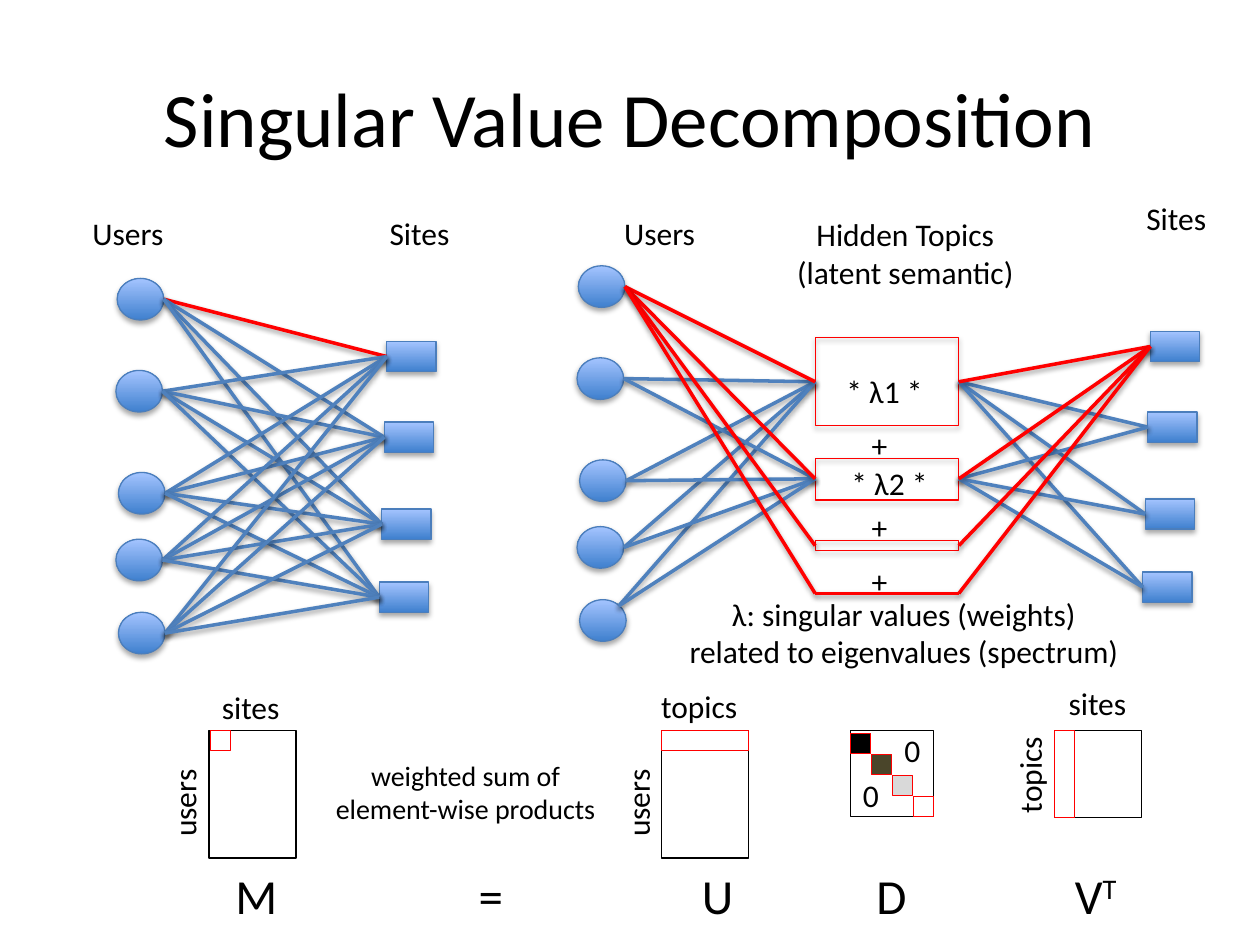
from itertools import product

from lxml.etree import SubElement
from pptx import Presentation
from pptx.dml.color import RGBColor
from pptx.enum.shapes import MSO_CONNECTOR as Connector, MSO_SHAPE as Preset
from pptx.enum.text import MSO_ANCHOR as Anchor, MSO_AUTO_SIZE as AutoSize, PP_ALIGN as Align
from pptx.oxml.ns import qn
from pptx.util import Inches, Pt

FONT = "Calibri"
COLORS = {
    "black": "000000", "white": "FFFFFF", "red": "FF0000", "blue": "4F81BD",
    "outline": "4B7EBC", "node_dark": "3F80CE", "node_light": "A4C4FF",
    "olive": "4A452A", "gray": "D9D9D9",
}
USER_WIDTH, USER_HEIGHT = 0.37, 0.33
SITE_WIDTH, SITE_HEIGHT = 0.39, 0.24
USERS = [(0.93, 2.21), (0.92, 2.94), (0.94, 3.75), (0.92, 4.28), (0.94, 4.86)]
SITES = [(3.07, 2.71), (3.05, 3.35), (3.03, 4.04), (3.01, 4.62)]
TOPIC_LEFT, TOPIC_RIGHT = 6.47, 7.61
TOPIC_BOXES = [(2.68, 0.7), (3.64, 0.33), (4.29, 0.08)]
TOPIC_PORTS = [3.03, 3.8, 4.33, 4.71]
MATRIX_TOP, STRIP = 5.8, 0.16


def color(name):
    return RGBColor.from_string(COLORS[name])


def add_shadow(element, alpha, distance):
    """Give a shape or connector a soft shadow that falls straight down."""
    properties = element._element.spPr
    effects = properties.find(qn("a:effectLst"))
    if effects is None:
        effects = SubElement(properties, qn("a:effectLst"))
    shadow = SubElement(effects, qn("a:outerShdw"), blurRad=str(Pt(3.1)),
                        dist=str(Pt(distance)), dir="5400000", rotWithShape="0")
    shade = SubElement(shadow, qn("a:srgbClr"), val=COLORS["black"])
    SubElement(shade, qn("a:alpha"), val=str(alpha * 1000))


def add_run(paragraph, text, size, superscript=False):
    run = paragraph.add_run()
    run.text = text
    run.font.name = FONT
    run.font.size = Pt(size)
    run.font.color.rgb = color("black")
    if superscript:
        run._r.get_or_add_rPr().set("baseline", "30000")


def add_label(slide, lines, left, top, width, height=0.4, size=18,
              align=Align.CENTER, rotation=0):
    box = slide.shapes.add_textbox(Inches(left), Inches(top), Inches(width), Inches(height))
    box.rotation = rotation
    frame = box.text_frame
    frame.word_wrap = True
    frame.auto_size = AutoSize.SHAPE_TO_FIT_TEXT
    for index, line in enumerate(lines):
        paragraph = frame.add_paragraph() if index else frame.paragraphs[0]
        paragraph.alignment = align
        add_run(paragraph, line, size)
    return box


def add_box(slide, left, top, width, height, line="black", fill=None, preset=Preset.RECTANGLE):
    shape = slide.shapes.add_shape(preset, Inches(left), Inches(top),
                                   Inches(width), Inches(height))
    shape.shadow.inherit = False
    if fill:
        shape.fill.solid()
        shape.fill.fore_color.rgb = color(fill)
    else:
        shape.fill.background()
    shape.line.color.rgb = color(line)
    shape.line.width = Pt(0.75)
    return shape


def add_node(slide, preset, left, top, width, height):
    node = add_box(slide, left, top, width, height, "outline", preset=preset)
    node.fill.gradient()
    node.fill.gradient_angle = 90
    for stop, name in zip(node.fill.gradient_stops, ("node_dark", "node_light")):
        stop.color.rgb = color(name)
    add_shadow(node, 35, 1.8)


def add_edge(slide, start, end, line="blue"):
    edge = slide.shapes.add_connector(Connector.STRAIGHT, *map(Inches, (*start, *end)))
    edge.line.color.rgb = color(line)
    edge.line.width = Pt(2)
    add_shadow(edge, 38, 1.6)


def add_users(slide, shift_x=0, shift_y=0):
    """Draw the user circles and return the points where their edges start."""
    ports = []
    for left, top in USERS:
        left, top = left + shift_x, top + shift_y
        add_node(slide, Preset.OVAL, left, top, USER_WIDTH, USER_HEIGHT)
        ports.append((left + USER_WIDTH, top + USER_HEIGHT / 2))
    return ports


def add_sites(slide, shift_x=0, shift_y=0):
    """Draw the site boxes and return the points where their edges end."""
    ports = []
    for left, top in SITES:
        left, top = left + shift_x, top + shift_y
        add_node(slide, Preset.RECTANGLE, left, top, SITE_WIDTH, SITE_HEIGHT)
        ports.append((left, top + SITE_HEIGHT / 2))
    return ports


def add_title(slide):
    title = slide.shapes.title
    title.left, title.top, title.width, title.height = map(Inches, (0.5, 0.3, 9, 1.25))
    title.text_frame.vertical_anchor = Anchor.MIDDLE
    paragraph = title.text_frame.paragraphs[0]
    paragraph.alignment = Align.CENTER
    add_run(paragraph, "Singular Value Decomposition", 44)


def add_direct_graph(slide):
    add_label(slide, ["Users"], 0.54, 1.65, 0.95, 0.33)
    add_label(slide, ["Sites"], 2.91, 1.65, 0.84, 0.33)
    users, sites = add_users(slide), add_sites(slide)
    for user, site in product(users, sites):
        first = user == users[0] and site == sites[0]
        add_edge(slide, user, site, "red" if first else "blue")


def add_topic_graph(slide):
    for top, height in TOPIC_BOXES:
        box = add_box(slide, TOPIC_LEFT, top, TOPIC_RIGHT - TOPIC_LEFT, height, "red")
        add_shadow(box, 35, 1.8)
    users = add_users(slide, 3.66, -0.1)
    sites = add_sites(slide, 6.06, -0.08)
    users[-1] = (4.91, 4.81)

    for port in TOPIC_PORTS[:2]:
        for user in users[1:]:
            add_edge(slide, user, (TOPIC_LEFT, port))
        for site in sites[1:]:
            add_edge(slide, (TOPIC_RIGHT, port), site)
    for port in TOPIC_PORTS:
        add_edge(slide, users[0], (TOPIC_LEFT, port), "red")
        add_edge(slide, (TOPIC_RIGHT, port), sites[0], "red")
    add_edge(slide, (TOPIC_LEFT, TOPIC_PORTS[-1]), (TOPIC_RIGHT, TOPIC_PORTS[-1]), "red")

    add_label(slide, ["Users"], 4.76, 1.65, 0.95, 0.33)
    add_label(slide, ["Hidden Topics", "(latent semantic)"], 6.19, 1.66, 1.99, 0.71)
    add_label(slide, ["Sites"], 8.86, 1.53, 0.95, 0.33)
    add_label(slide, ["* λ1 *"], 6.39, 2.9, 1.26, 0.33)
    add_label(slide, ["* λ2 *"], 6.63, 3.63, 0.86)
    for top in (3.33, 3.98, 4.41):
        add_label(slide, ["+"], 6.75, top, 0.46, 0.33)
    add_label(slide, ["λ: singular values (weights)", "related to eigenvalues (spectrum)"],
              5.36, 4.67, 3.63, 0.71)


def add_matrices(slide):
    for left, width, height in ((1.66, 0.69, 1.01), (5.25, 0.69, 1.01),
                                (6.75, 0.66, 0.68), (8.37, 0.69, 0.69)):
        add_box(slide, left, MATRIX_TOP, width, height)
    for left, width, height in ((1.67, STRIP, STRIP), (5.25, 0.69, STRIP), (8.37, STRIP, 0.69)):
        add_box(slide, left, MATRIX_TOP, width, height, "red", "white")
    for index, fill in enumerate(("black", "olive", "gray", "white")):
        step = index * 0.167
        add_box(slide, 6.75 + step, 5.82 + step, STRIP, STRIP, "red", fill)

    for text, left, top in (("sites", 1.56, 5.41), ("topics", 5.12, 5.4), ("sites", 8.28, 5.38)):
        add_label(slide, [text], left, top, 0.86)
    for text, left, top, align in (("users", 1.03, 6.11, Align.LEFT),
                                   ("users", 4.63, 6.11, Align.LEFT),
                                   ("topics", 7.74, 5.95, Align.CENTER)):
        add_label(slide, [text], left, top, 0.86, align=align, rotation=270)
    for left, top in ((6.75, 6.11), (7.08, 5.75)):
        add_label(slide, ["0"], left, top, 0.33, align=Align.LEFT)
    add_label(slide, ["weighted sum of element-wise products"], 2.54, 5.97, 2.31, 0.64, 16)


def add_equation(slide):
    for text, left, align in (("M", 1.77, Align.LEFT), ("=", 3.7, Align.LEFT),
                              ("U", 5.25, Align.CENTER), ("D", 6.63, Align.CENTER),
                              ("V", 8.25, Align.CENTER)):
        box = add_label(slide, [text], left, 6.82, 0.89, 0.57, 28, align)
    add_run(box.text_frame.paragraphs[0], "T", 28, superscript=True)


def main():
    presentation = Presentation()
    presentation.slide_width, presentation.slide_height = Inches(10), Inches(7.5)
    slide = presentation.slides.add_slide(presentation.slide_layouts[5])
    add_title(slide)
    add_direct_graph(slide)
    add_topic_graph(slide)
    add_matrices(slide)
    add_equation(slide)
    presentation.save("out.pptx")


if __name__ == "__main__":
    main()
